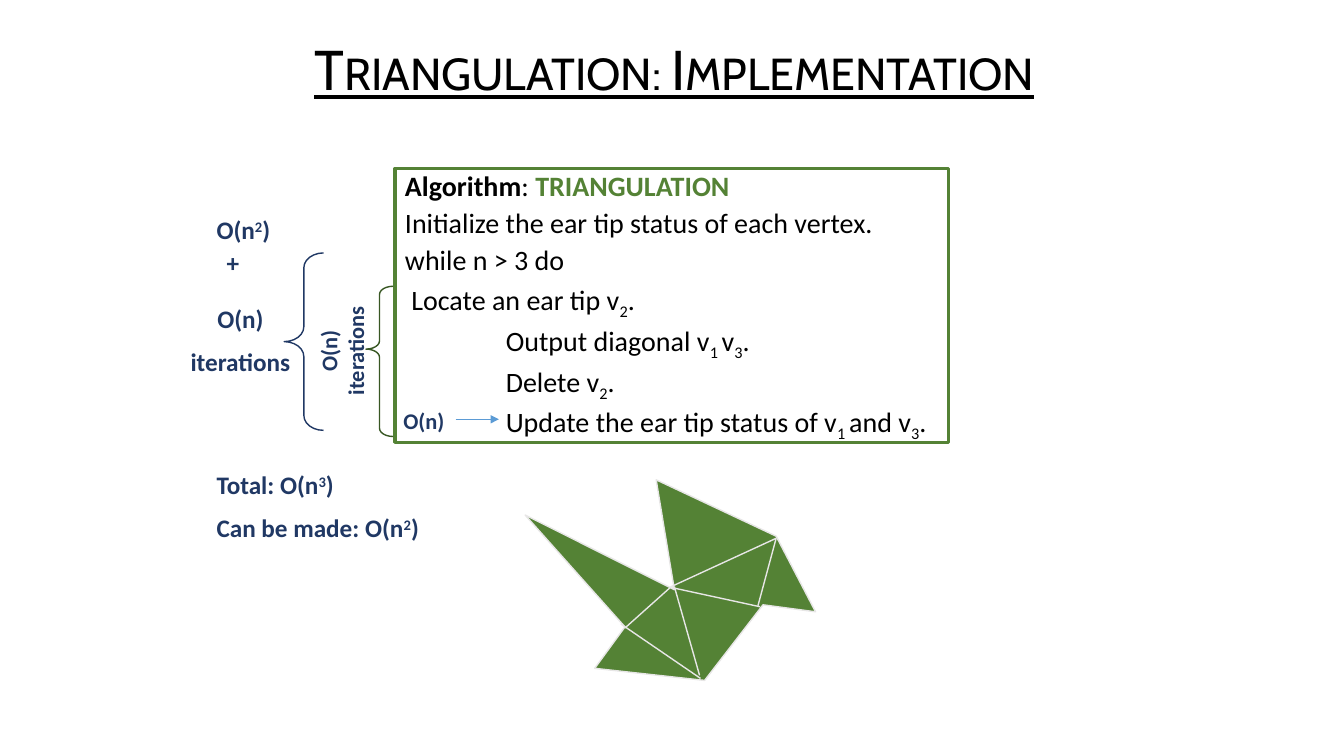
from lxml import etree
from pptx import Presentation, util as u
from pptx.dml import color as dml
from pptx.enum import shapes as shape_kinds, text as text_kinds
from pptx.oxml import ns

BLACK, GREEN, DARK_GREEN, NAVY = "000000", "548235", "385723", "203864"
PALE, BLUE = "E7E6E6", "5B9BD5"
SUB, SUPER = {"baseline": -25000}, {"baseline": 30000}
CENTER = text_kinds.PP_ALIGN.CENTER
LABEL = {"name": "Calibri", "size": 18, "color": NAVY, "bold": True}
SMALL_LABEL = {**LABEL, "size": 16}
CODE = {"name": "Calibri", "size": 20, "color": BLACK}
TITLE = {"name": "Cabin", "size": 40, "color": BLACK, "underline": True, "cap": "small"}
BODY_INDENT = 72

ALGORITHM = [
    [("Algorithm", {"bold": True}), ": ", ("TRIANGULATION", {"bold": True, "color": GREEN})],
    ["Initialize the ear tip status of each vertex."],
    ["while n > 3 do"],
    [" Locate an ear tip v", ("2", SUB), "."],
    ["\tOutput diagonal v", ("1 ", SUB), "v", ("3", SUB), "."],
    ["\tDelete v", ("2", SUB), "."],
    ["\tUpdate the ear tip status of v", ("1 ", SUB), "and v", ("3", SUB), "."],
]

# Label boxes: left, top, width, height, paragraphs, format, paragraph format, rotation
SPACED = {"space_before": u.Pt(9)}
CENTERED = {"alignment": CENTER}
LABELS = [
    (147.6, 149.8, 79.2, 28.8, [["O(n", ("2", SUPER), ")"]], LABEL, {}, 0),
    (154.8, 172.8, 33.8, 28.8, [["+"]], LABEL, {}, 0),
    (118.1, 213.1, 107.3, 61.9, [["O(n)"], ["iterations"]], LABEL, {**SPACED, **CENTERED}, 0),
    (190.8, 227.5, 107.3, 46.1, [["O(n)"], ["iterations"]], SMALL_LABEL, CENTERED, 270),
    (147.6, 331.9, 170.6, 61.9,
     [["Total: O(n", ("3", SUPER), ")"], ["Can be made: O(n", ("2", SUPER), ")"]],
     LABEL, SPACED, 0),
    (249.1, 287.3, 107.3, 26.6, [["O(n)"]], SMALL_LABEL, CENTERED, 0),
]

POLYGON = [(375.1, 367.9), (481.7, 421.2), (468.7, 342.7), (554.4, 383), (582.5, 437),
           (545, 432), (503.3, 486), (424.8, 477.4), (446.4, 447.8)]
DIAGONALS = [
    (479.5, 419, 554.4, 384.5), (554.4, 384.5, 541.4, 432.7), (480.2, 419.8, 542.9, 433.4),
    (446.4, 448.6, 479.5, 419), (499.7, 482.4, 481.7, 419), (500.4, 484.6, 443.5, 445.7),
]


def points(values):
    return [u.Pt(value) for value in values]


def rgb(value):
    return dml.RGBColor.from_string(value)


def set_line(shape, color, width):
    shape.line.color.rgb = rgb(color)
    shape.line.width = u.Pt(width)


def format_run(run, values):
    for key, value in values.items():
        if key in ("baseline", "cap"):
            run._r.get_or_add_rPr().set(key, str(value))
        elif key == "color":
            run.font.color.rgb = rgb(value)
        else:
            setattr(run.font, key, u.Pt(value) if key == "size" else value)


def add_tab_stop(paragraph, position):
    tabs = etree.SubElement(paragraph._p.get_or_add_pPr(), ns.qn("a:tabLst"))
    etree.SubElement(tabs, ns.qn("a:tab"), pos=str(u.Pt(position)), algn="l")


def write(shape, paragraphs, base, paragraph_format):
    frame = shape.text_frame
    frame.word_wrap = True
    for index, parts in enumerate(paragraphs):
        paragraph = frame.add_paragraph() if index else frame.paragraphs[0]
        for key, value in paragraph_format.items():
            if index or key != "space_before":
                setattr(paragraph, key, value)
        for part in parts:
            content, changes = (part, {}) if isinstance(part, str) else part
            if content.startswith("\t"):
                add_tab_stop(paragraph, BODY_INDENT)
            run = paragraph.add_run()
            run.text = content
            format_run(run, {**base, **changes})


def add_label(slide, left, top, width, height, paragraphs, base, paragraph_format, rotation=0):
    box = slide.shapes.add_textbox(*points((left, top, width, height)))
    box.rotation = rotation
    write(box, paragraphs, base, paragraph_format)
    return box


def add_outline(slide, kind, place, color, width):
    shape = slide.shapes.add_shape(kind, *points(place))
    shape.shadow.inherit = False
    shape.fill.background()
    set_line(shape, color, width)
    return shape


def add_brace(slide, place, color, adjustments):
    brace = add_outline(slide, shape_kinds.MSO_SHAPE.LEFT_BRACE, place, color, 1)
    for index, value in enumerate(adjustments):
        brace.adjustments[index] = value


def add_segment(shapes, ends, color, width, arrow=False):
    segment = shapes.add_connector(shape_kinds.MSO_CONNECTOR.STRAIGHT, *points(ends))
    set_line(segment, color, width)
    if arrow:
        line = segment.line._get_or_add_ln()
        etree.SubElement(line, ns.qn("a:tailEnd"), type="triangle")
    etree.SubElement(segment._element.spPr, ns.qn("a:effectLst"))


def add_triangulated_polygon(slide):
    group = slide.shapes.add_group_shape()
    start, *others = [points(vertex) for vertex in POLYGON]
    builder = group.shapes.build_freeform(*start)
    builder.add_line_segments(others, close=True)
    polygon = builder.convert_to_shape()
    polygon.shadow.inherit = False
    polygon.fill.solid()
    polygon.fill.fore_color.rgb = rgb(GREEN)
    set_line(polygon, PALE, 1)
    for ends in DIAGONALS:
        add_segment(group.shapes, ends, PALE, 1)


def main():
    presentation = Presentation()
    presentation.slide_width, presentation.slide_height = points((960, 540))
    slide = presentation.slides.add_slide(presentation.slide_layouts[6])

    # Title
    title = add_label(slide, 127.5, 20.9, 708.5, 61.2, [["Triangulation: Implementation"]],
                      TITLE, {"alignment": CENTER, "line_spacing": 0.9})
    title.text_frame.vertical_anchor = text_kinds.MSO_ANCHOR.MIDDLE

    # Algorithm box
    box = add_outline(slide, shape_kinds.MSO_SHAPE.RECTANGLE,
                      (282.2, 120.2, 395.3, 195.8), GREEN, 2.25)
    box.text_frame.vertical_anchor = text_kinds.MSO_ANCHOR.TOP
    write(box, ALGORITHM, CODE, {"alignment": text_kinds.PP_ALIGN.LEFT,
                                 "line_spacing": 0.85, "space_before": u.Pt(6)})

    # Triangulated polygon
    add_triangulated_polygon(slide)

    # Running times with braces and arrow
    add_brace(slide, (203, 180.7, 28.1, 126.7), NAVY, (0.378, 0.5))
    add_brace(slide, (261.4, 204.5, 19.4, 107.3), DARK_GREEN, (0.301, 0.418))
    for label in LABELS:
        add_label(slide, *label)
    add_segment(slide.shapes, (325.4, 299.5, 356.4, 299.5), BLUE, 0.5, arrow=True)

    presentation.save("out.pptx")


if __name__ == "__main__":
    main()
